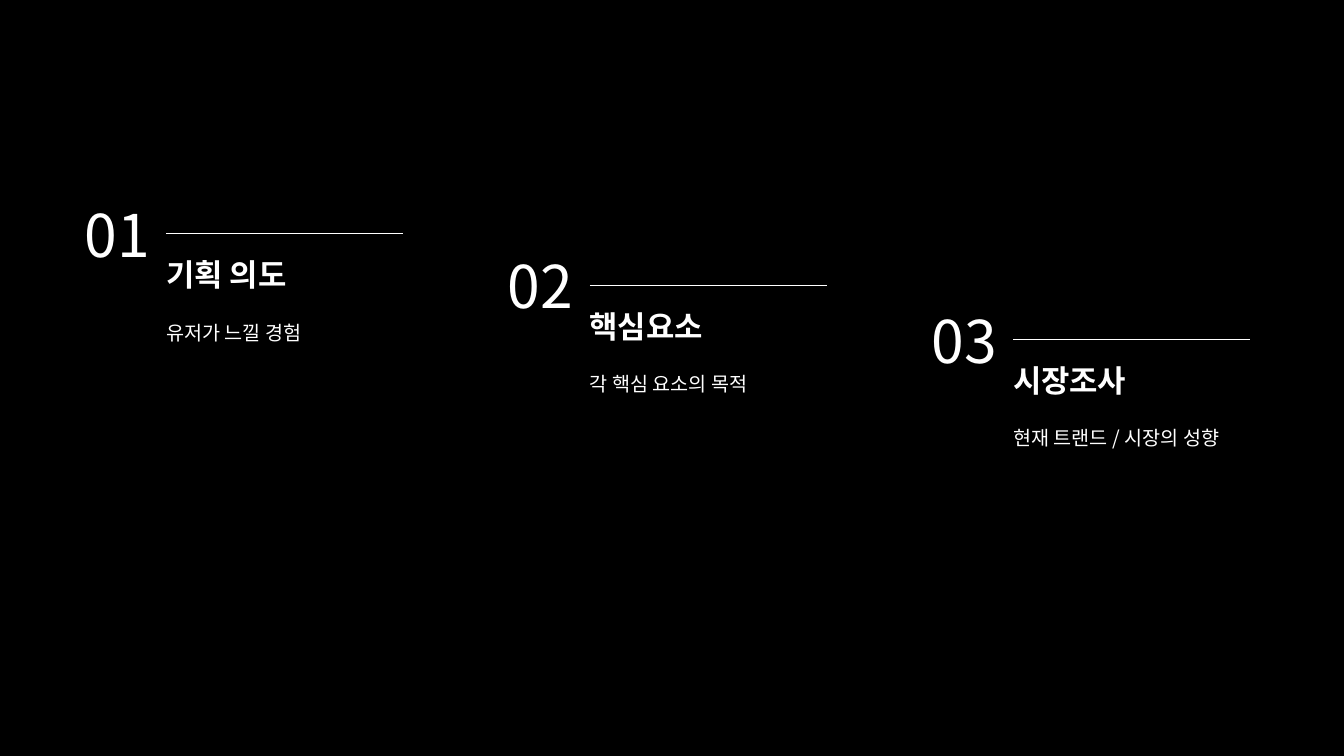
"""Build a black contents slide with three stepped, numbered topics."""
from lxml.etree import SubElement
from pptx import Presentation
from pptx.dml.color import RGBColor
from pptx.enum.shapes import MSO_CONNECTOR
from pptx.enum.text import MSO_AUTO_SIZE
from pptx.oxml.ns import qn
from pptx.util import Inches, Pt

TOPICS = [
    ("기획 의도", "유저가 느낄 경험", 1.92),
    ("핵심요소", "각 핵심 요소의 목적", 2.43),
    ("시장조사", "현재 트랜드 / 시장의 성향", 2.97),
]
COLORS = {"back": "000000", "ink": "FFFFFF"}
FONT = "Noto Sans CJK KR"
WIDE, HIGH = 13.33, 7.5
LEFT, STEP = 0.74, 4.2
INDENT = 0.81
RULE = (0.91, 0.4, 2.35)


def color(name):
    return RGBColor.from_string(COLORS[name])


def add_text(group, text, box, size, bold=False, wrap=True):
    frame = group.shapes.add_textbox(*map(Inches, box)).text_frame
    frame.text = text
    frame.word_wrap = wrap
    frame.auto_size = MSO_AUTO_SIZE.SHAPE_TO_FIT_TEXT
    font = frame.paragraphs[0].runs[0].font
    font.size, font.bold, font.name = Pt(size), bold, FONT
    font.color.rgb = color("ink")
    SubElement(font._element, qn("a:ea"), typeface=FONT)


def add_rule(group, x, y, width):
    ends = map(Inches, (x, y, x + width, y))
    rule = group.shapes.add_connector(MSO_CONNECTOR.STRAIGHT, *ends)
    rule.line.color.rgb = color("ink")
    rule.line.width = Pt(0.75)
    SubElement(rule._element.spPr, qn("a:effectLst"))


def add_topic(slide, index, title, note, top):
    group = slide.shapes.add_group_shape()
    left = LEFT + index * STEP
    inner = left + INDENT
    dx, dy, width = RULE
    add_text(group, f"{index + 1:02}", (left, top, 1.06, 0.8), 42)
    add_text(group, title, (inner, top + 0.57, 1.5, 0.46), 22, True, False)
    add_text(group, note, (inner, top + 1.21, 2.65, 0.33), 14)
    add_rule(group, left + dx, top + dy, width)


def main():
    deck = Presentation()
    deck.slide_width, deck.slide_height = Inches(WIDE), Inches(HIGH)
    slide = deck.slides.add_slide(deck.slide_layouts[6])
    fill = slide.background.fill
    fill.solid()
    fill.fore_color.rgb = color("back")
    for index, topic in enumerate(TOPICS):
        add_topic(slide, index, *topic)
    deck.save("out.pptx")


if __name__ == "__main__":
    main()
